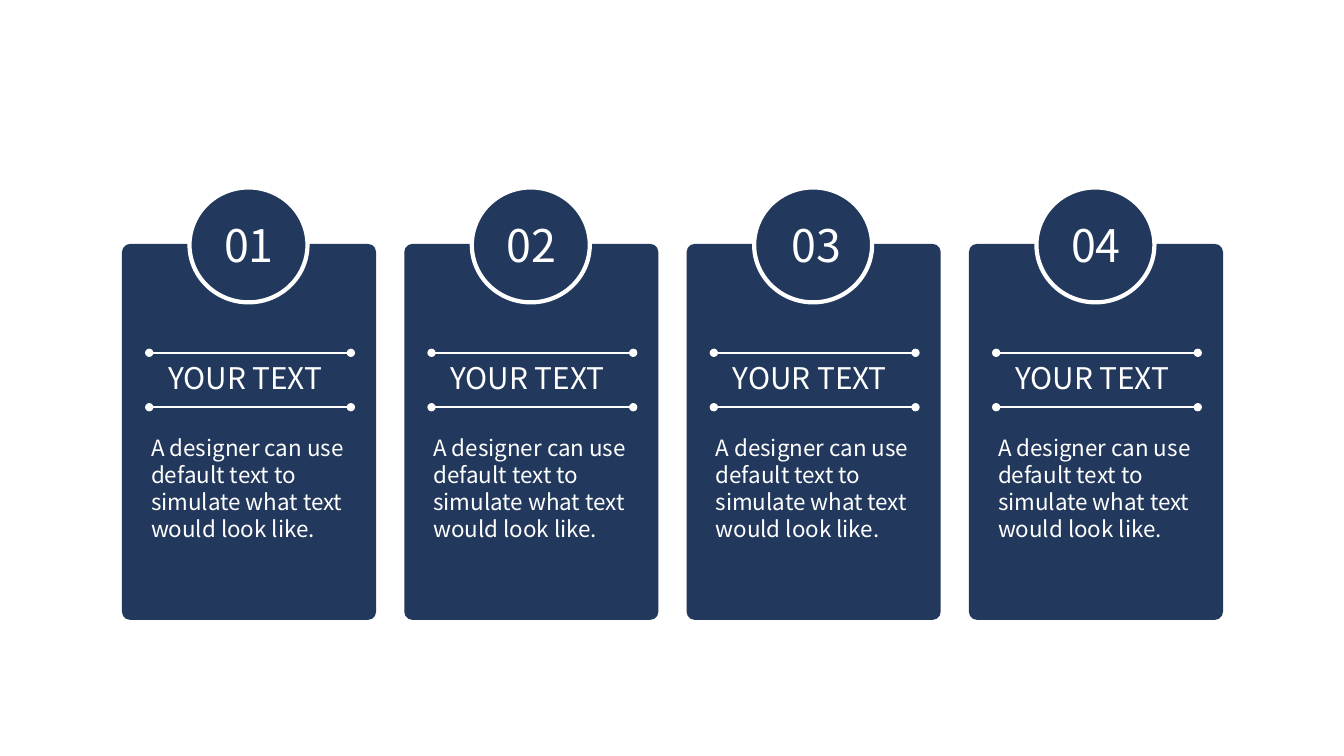
import pptx
import pptx.util
import pptx.dml.color
import pptx.enum.shapes
import pptx.enum.text
import pptx.oxml.ns
from lxml import etree

Inches = pptx.util.Inches
Pt = pptx.util.Pt
Shape = pptx.enum.shapes.MSO_SHAPE
Align = pptx.enum.text.PP_ALIGN
Anchor = pptx.enum.text.MSO_ANCHOR
qn = pptx.oxml.ns.qn

NUMBERS = ["01", "02", "03", "04"]
HEADING = "YOUR TEXT "
BODY = "A designer can use default text to simulate what text would look like."
CARD_LEFT, CARD_PITCH = 1.21, 2.8
RULE_TOPS = [3.5, 4.04]


def rgb(hex_text):
    return pptx.dml.color.RGBColor.from_string(hex_text)


class CardSlide:
    navy = "22385C"
    white = "FFFFFF"
    font = "Noto Sans CJK SC"
    leading = 1.2

    def __init__(self, slide):
        self.slide = slide

    def shape(self, kind, left, top, width, height, outline=None):
        """Add a navy shape, with a white outline of the given points if any."""
        shape = self.slide.shapes.add_shape(
            kind, Inches(left), Inches(top), Inches(width), Inches(height))
        shape.shadow.inherit = False
        shape.fill.solid()
        shape.fill.fore_color.rgb = rgb(self.navy)
        if outline:
            shape.line.color.rgb = rgb(self.white)
            shape.line.width = Pt(outline)
        else:
            shape.line.fill.background()
        return shape

    def rule(self, left, top, width):
        """Add a horizontal line with a dot at each end."""
        rule = self.slide.shapes.add_connector(
            pptx.enum.shapes.MSO_CONNECTOR.STRAIGHT,
            Inches(left), Inches(top), Inches(left + width), Inches(top))
        rule.line.color.rgb = rgb(self.white)
        rule.line.width = Pt(1.5)
        outline = rule.line._get_or_add_ln()
        for end in ("a:headEnd", "a:tailEnd"):
            etree.SubElement(outline, qn(end), type="oval")
        etree.SubElement(rule._element.spPr, qn("a:effectLst"))

    def text(self, text, left, top, width, height, size,
             align=Align.LEFT, anchor=Anchor.TOP, wrap=True):
        box = self.slide.shapes.add_textbox(
            Inches(left), Inches(top), Inches(width), Inches(height))
        frame = box.text_frame
        frame.word_wrap = wrap
        frame.auto_size = pptx.enum.text.MSO_AUTO_SIZE.SHAPE_TO_FIT_TEXT
        frame.vertical_anchor = anchor
        paragraph = frame.paragraphs[0]
        paragraph.alignment = align
        paragraph.line_spacing = Pt(size * self.leading)
        run = paragraph.add_run()
        run.text = text
        run.font.size = Pt(size)
        run.font.name = self.font
        run.font.color.rgb = rgb(self.white)
        properties = run._r.get_or_add_rPr()
        etree.SubElement(properties, qn("a:ea"), typeface=self.font)

    def card(self, left):
        panel = self.shape(Shape.ROUNDED_RECTANGLE, left, 2.42, 2.52, 3.73)
        panel.adjustments[0] = 0.032
        for top in RULE_TOPS:
            self.rule(left + 0.27, top, 2)
        self.text(BODY, left + 0.19, 4.26, 2.12, 1.45, size=16)
        self.text(HEADING, left + 0.08, 3.52, 2.35, 0.46, size=21.3,
                  align=Align.CENTER)

    def badge(self, number, left):
        self.shape(Shape.OVAL, left + 0.67, 1.86, 1.17, 1.14, outline=3)
        nudge = 0.03 if number == "03" else 0
        self.text(number, left + 0.91 + nudge, 2.11, 0.7, 0.64, size=32,
                  align=Align.CENTER, anchor=Anchor.MIDDLE, wrap=False)


def main():
    deck = pptx.Presentation()
    deck.slide_width = Inches(13.33)
    deck.slide_height = Inches(7.5)
    cards = CardSlide(deck.slides.add_slide(deck.slide_layouts[6]))
    lefts = [CARD_LEFT + CARD_PITCH * i for i in range(len(NUMBERS))]
    for left in lefts:
        cards.card(left)
    for number, left in zip(NUMBERS, lefts):
        cards.badge(number, left)
    deck.save("out.pptx")


if __name__ == "__main__":
    main()
